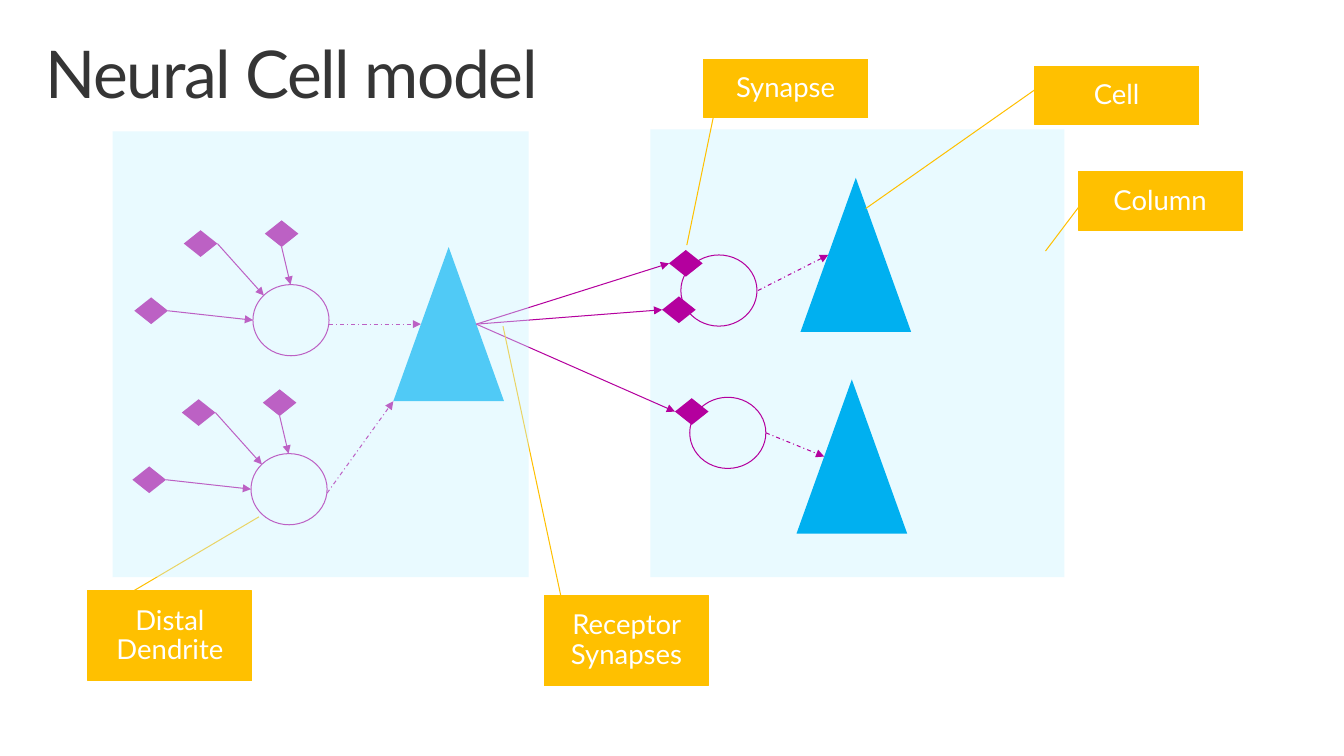
from dataclasses import dataclass

from lxml import etree
from pptx import Presentation
from pptx.dml.color import RGBColor
from pptx.enum.dml import MSO_LINE
from pptx.enum.shapes import MSO_CONNECTOR, MSO_SHAPE
from pptx.enum.text import MSO_ANCHOR, PP_ALIGN
from pptx.oxml.ns import qn
from pptx.shapes.autoshape import Shape
from pptx.shapes.connector import Connector
from pptx.shapes.shapetree import SlideShapes
from pptx.text.text import TextFrame
from pptx.util import Pt

EMU_PER_PX = 9144  # 100 px to the inch
RECTANGLE, ELLIPSE = MSO_SHAPE.RECTANGLE, MSO_SHAPE.OVAL
TRIANGLE, DIAMOND = MSO_SHAPE.ISOSCELES_TRIANGLE, MSO_SHAPE.FLOWCHART_DECISION
CALLOUT = MSO_SHAPE.LINE_CALLOUT_1
STRAIGHT = MSO_CONNECTOR.STRAIGHT
DASH_DOT = MSO_LINE.DASH_DOT
TOP, MIDDLE, CENTER = MSO_ANCHOR.TOP, MSO_ANCHOR.MIDDLE, PP_ALIGN.CENTER
LEFT_SIDE, BOTTOM_SIDE, RIGHT_SIDE = 1, 2, 3

FONT = "Lato"
PURPLE, BLUE, AMBER = "B4009E", "00B0F0", "FFC000"
PALE_BLUE, DARK_GREY, WHITE = "C9F3FF", "353535", "FFFFFF"
LINE_WIDTH = Pt(0.75)

CELL_SIZE = (112, 156)
DENDRITE_SIZE = (77, 72)
SYNAPSE_SIZE = (34, 27)
CALLOUT_WIDTH = 166

Point = tuple[int, int]


@dataclass(frozen=True)
class Input:
    """A synapse feeding a dendrite, placed from the dendrite's corner."""
    synapse: Point
    side: int
    target: Point


@dataclass(frozen=True)
class Callout:
    text: str
    corner: Point
    height: int
    tip: Point


LEFT_COLUMN = (114, 133, 421, 451)
RIGHT_COLUMN = (658, 131, 419, 453)
CELLS = [(398, 250), (810, 180), (806, 384)]
LEFT_DENDRITES = [(256, 288), (254, 459)]
RIGHT_DENDRITES = [(689, 258), (698, 402)]
INPUTS = [
    Input((12, -65), BOTTOM_SIDE, (38, 0)),
    Input((-70, -55), RIGHT_SIDE, (11, 11)),
    Input((-120, 13), RIGHT_SIDE, (0, 36)),
]
CELL_OUTPUT = (482, 328)
OUTPUT_SYNAPSES = [(677, 253), (670, 300), (683, 403)]
DENDRITE_SIGNALS = [
    ((333, 328), (426, 328)),
    ((331, 499), (398, 406)),
    ((767, 294), (838, 258)),
    ((775, 438), (834, 462)),
]
CALLOUTS = [
    Callout("Receptor Synapses", (551, 603), 91, (509, 330)),
    Callout("Synapse", (712, 60), 59, (695, 248)),
    Callout("Distal Dendrite", (89, 598), 91, (262, 523)),
    Callout("Cell", (1047, 67), 59, (876, 211)),
    Callout("Column", (1091, 174), 59, (1058, 254)),
]


def px(*lengths: int) -> list[int]:
    return [length * EMU_PER_PX for length in lengths]


def color(value: str) -> RGBColor:
    return RGBColor.from_string(value)


def add_shape(shapes: SlideShapes, kind: MSO_SHAPE, corner: Point, size: Point,
              fill: str = "", line: str = "") -> Shape:
    shape = shapes.add_shape(kind, *px(*corner, *size))
    shape.shadow.inherit = False
    if fill:
        shape.fill.solid()
        shape.fill.fore_color.rgb = color(fill)
    else:
        shape.fill.background()
    if line:
        shape.line.color.rgb = color(line)
        shape.line.width = LINE_WIDTH
    else:
        shape.line.fill.background()
    return shape


def add_column(shapes: SlideShapes, box: tuple[int, int, int, int]) -> None:
    column = add_shape(shapes, RECTANGLE, box[:2], box[2:], PALE_BLUE)
    fill_color = column._element.spPr.find(".//" + qn("a:srgbClr"))
    etree.SubElement(fill_color, qn("a:alpha"), val="40000")


def add_synapse(shapes: SlideShapes, corner: Point) -> Shape:
    return add_shape(shapes, DIAMOND, corner, SYNAPSE_SIZE, PURPLE)


def add_arrow(shapes: SlideShapes, start: Point, end: Point, dashed: bool = False) -> Connector:
    arrow = shapes.add_connector(STRAIGHT, *px(*start, *end))
    arrow.line.color.rgb = color(PURPLE)
    arrow.line.width = LINE_WIDTH
    if dashed:
        arrow.line.dash_style = DASH_DOT
    properties = arrow._element.spPr
    etree.SubElement(properties.find(qn("a:ln")), qn("a:tailEnd"), type="triangle")
    etree.SubElement(properties, qn("a:effectLst"))
    return arrow


def add_dendrite(shapes: SlideShapes, corner: Point, inputs: list[Input]) -> None:
    add_shape(shapes, ELLIPSE, corner, DENDRITE_SIZE, line=PURPLE)
    left, top = corner
    for source in inputs:
        synapse_corner = (left + source.synapse[0], top + source.synapse[1])
        target = (left + source.target[0], top + source.target[1])
        synapse = add_synapse(shapes, synapse_corner)
        add_arrow(shapes, synapse_corner, target).begin_connect(synapse, source.side)


def write_text(frame: TextFrame, text: str, size: int, text_color: str,
               margins: Point, anchor: MSO_ANCHOR) -> None:
    frame.word_wrap = True
    frame.vertical_anchor = anchor
    frame.margin_left = frame.margin_right = margins[0] * EMU_PER_PX
    frame.margin_top = frame.margin_bottom = margins[1] * EMU_PER_PX
    frame.text = text
    paragraph = frame.paragraphs[0]
    paragraph.line_spacing = 0.9
    font = paragraph.runs[0].font
    font.name, font.size = FONT, Pt(size)
    font.color.rgb = color(text_color)


def add_callout(shapes: SlideShapes, callout: Callout) -> None:
    shape = add_shape(shapes, CALLOUT, callout.corner, (CALLOUT_WIDTH, callout.height), AMBER, AMBER)
    left, top = callout.corner
    tip_x, tip_y = callout.tip
    pointer = (0.17, 0.12, (tip_y - top) / callout.height, (tip_x - left) / CALLOUT_WIDTH)
    for index, value in enumerate(pointer):
        shape.adjustments[index] = value
    write_text(shape.text_frame, callout.text, 20, WHITE, (20, 16), MIDDLE)
    shape.text_frame.paragraphs[0].alignment = CENTER


def add_title(shapes: SlideShapes) -> None:
    title = shapes.add_textbox(*px(30, 32, 1300, 100))
    write_text(title.text_frame, "Neural Cell model", 48, DARK_GREY, (16, 10), TOP)
    run = title.text_frame.paragraphs[0].runs[0]
    run._r.get_or_add_rPr().set("spc", "-100")


def main() -> None:
    presentation = Presentation()
    presentation.slide_width, presentation.slide_height = px(1360, 765)
    slide = presentation.slides.add_slide(presentation.slide_layouts[6])
    shapes = slide.shapes

    add_column(shapes, RIGHT_COLUMN)
    add_title(shapes)
    for corner in CELLS:
        add_shape(shapes, TRIANGLE, corner, CELL_SIZE, BLUE)
    for corner in LEFT_DENDRITES:
        add_dendrite(shapes, corner, INPUTS)
    for corner in RIGHT_DENDRITES:
        add_dendrite(shapes, corner, [])
    for corner in OUTPUT_SYNAPSES:
        synapse = add_synapse(shapes, corner)
        add_arrow(shapes, CELL_OUTPUT, corner).end_connect(synapse, LEFT_SIDE)
    for start, end in DENDRITE_SIGNALS:
        add_arrow(shapes, start, end, dashed=True)
    for callout in CALLOUTS:
        add_callout(shapes, callout)
    # The translucent left column veils everything inside it
    add_column(shapes, LEFT_COLUMN)

    presentation.save("out.pptx")


if __name__ == "__main__":
    main()
